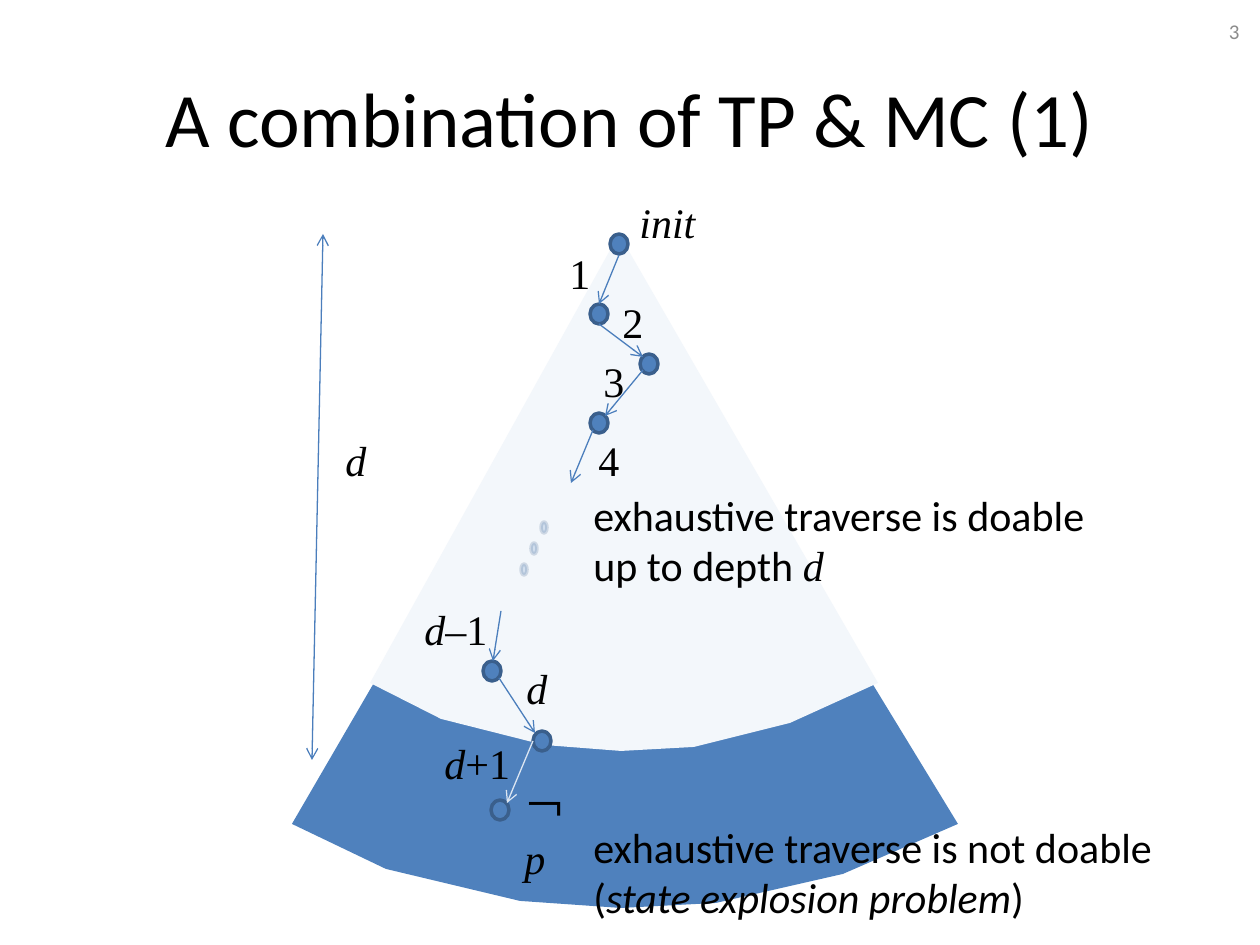
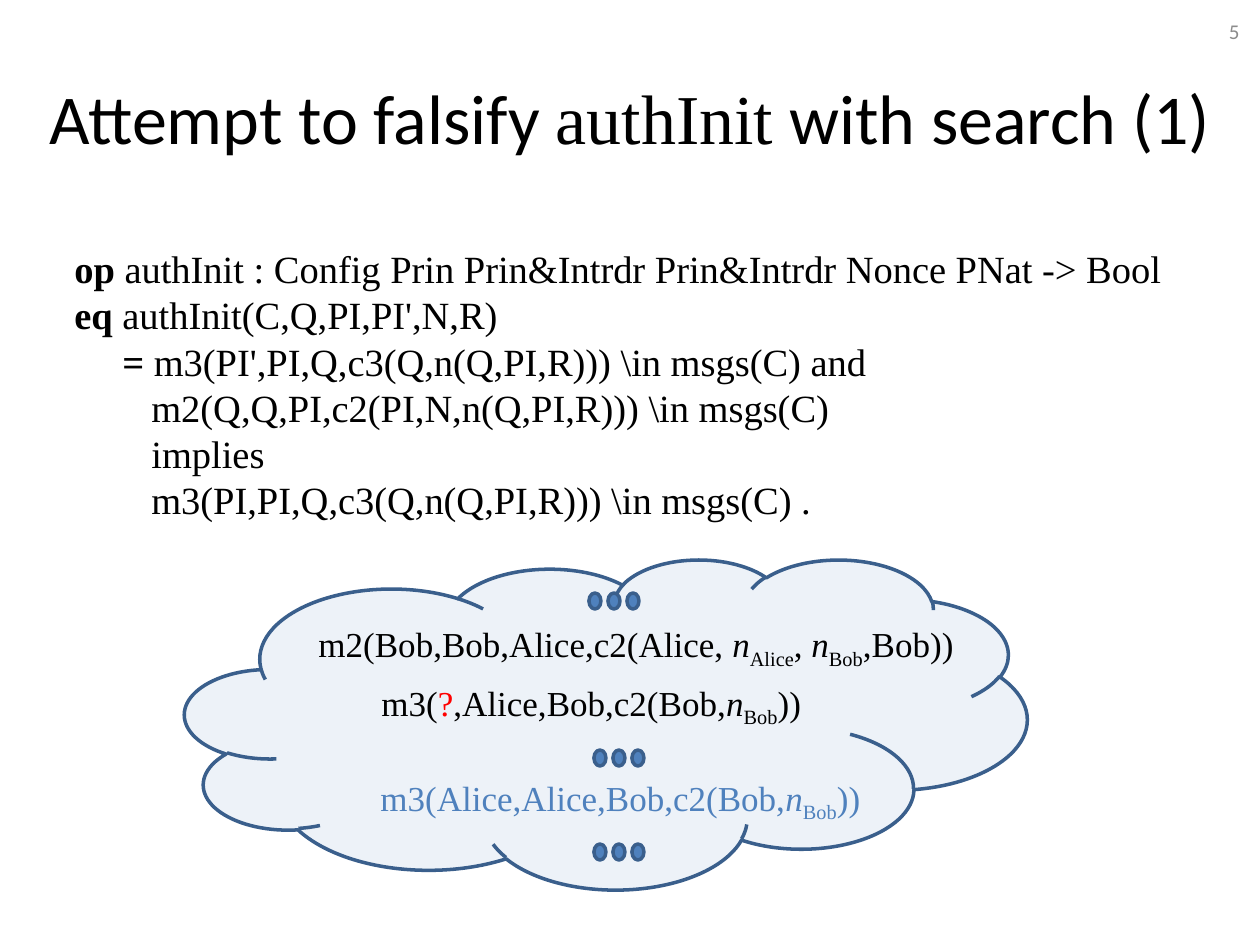
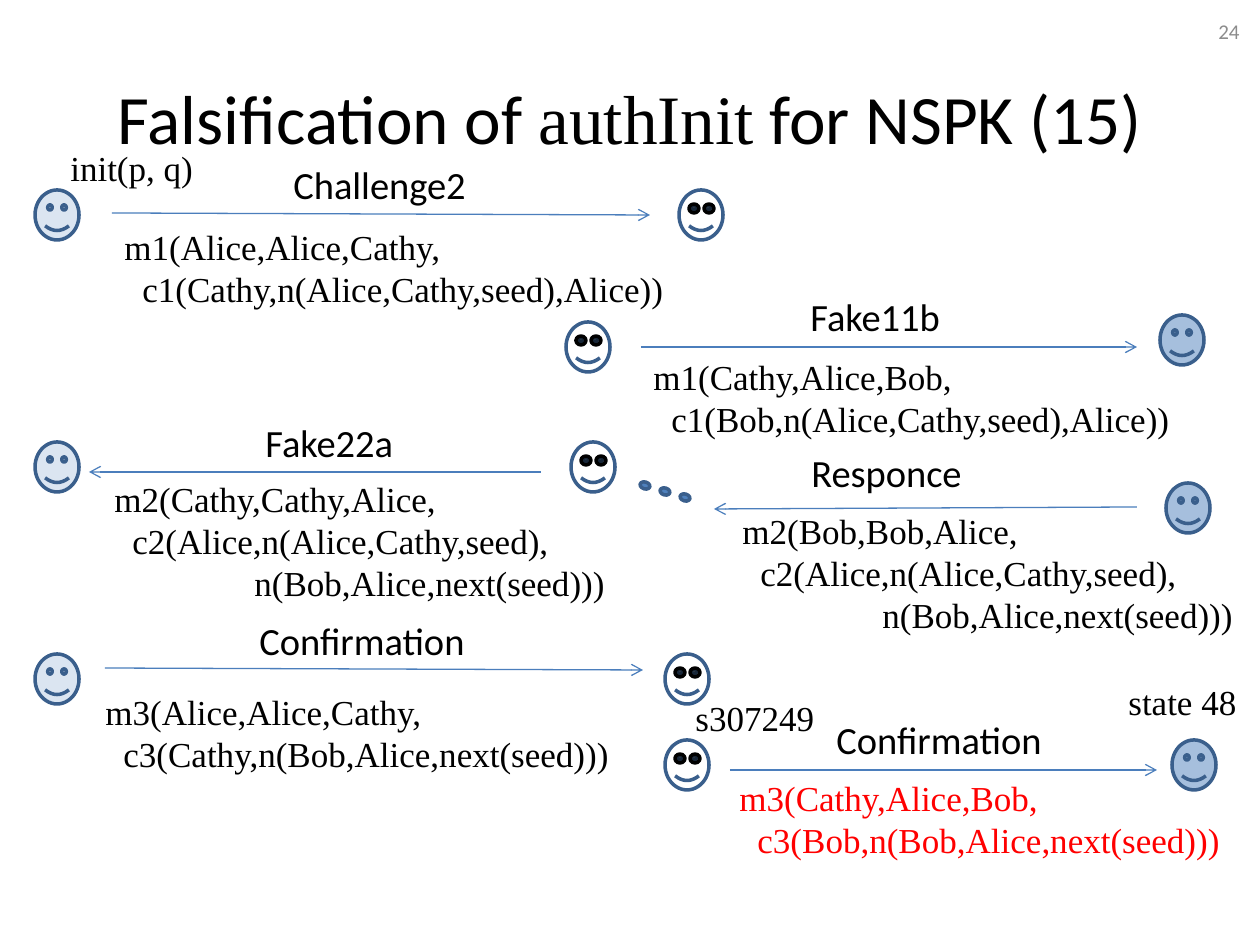
from lxml.etree import SubElement
from pptx import Presentation
from pptx.dml.color import RGBColor
from pptx.enum.shapes import MSO_CONNECTOR, MSO_SHAPE
from pptx.enum.text import MSO_ANCHOR, PP_ALIGN
from pptx.oxml.ns import qn
from pptx.util import Pt

SCALE = 914400 / 126
BLACK = RGBColor(0, 0, 0)
WHITE = RGBColor(255, 255, 255)
RED = RGBColor(255, 0, 0)
GRAY = RGBColor(0x8C, 0x8C, 0x8C)
BLUE = RGBColor(0x4F, 0x81, 0xBD)
OUTLINE = RGBColor(0x3A, 0x5F, 0x8C)
ARROW = RGBColor(0x4B, 0x7E, 0xBC)
PALE = RGBColor(0xF3, 0xF7, 0xFB)
PALE_ARROW = RGBColor(0xDC, 0xE6, 0xF2)
SANS = "Calibri"
SERIF = "Times New Roman"


def write(slide, box, paragraphs, size, font=SERIF, color=BLACK, wrap=False,
          align=PP_ALIGN.LEFT, anchor=MSO_ANCHOR.TOP, indents=()):
    text_box = slide.shapes.add_textbox(*[int(length * SCALE) for length in box])
    text_frame = text_box.text_frame
    text_frame.word_wrap = wrap
    text_frame.vertical_anchor = anchor
    for index, runs in enumerate(paragraphs):
        paragraph = text_frame.add_paragraph() if index else text_frame.paragraphs[0]
        paragraph.alignment = align
        if indents:
            paragraph._p.get_or_add_pPr().set("marL", str(int(indents[index] * SCALE)))
        if isinstance(runs, str):
            runs = [(runs, "")]
        for text, style in runs:
            run = paragraph.add_run()
            run.text = text
            run.font.size = Pt(size)
            run.font.name = SERIF if "serif" in style else font
            run.font.color.rgb = RED if "red" in style else color
            run.font.bold = "bold" in style
            run.font.italic = "italic" in style
            if "sub" in style:
                run._r.get_or_add_rPr().set("baseline", "-25000")


def draw(slide, kind, box, fill=BLUE, opacity=100, line=OUTLINE, line_opacity=100, rotation=0):
    shape = slide.shapes.add_shape(kind, *[int(length * SCALE) for length in box])
    shape.shadow.inherit = False
    shape.rotation = rotation
    shape.fill.solid()
    shape.fill.fore_color.rgb = fill
    shape.line.color.rgb = line
    shape.line.width = Pt(2)
    properties = shape._element.spPr
    outline = properties.find(qn("a:ln"))
    for parent, percent in ((properties, opacity), (outline, line_opacity)):
        if percent < 100:
            color = parent.find(qn("a:solidFill")).find(qn("a:srgbClr"))
            SubElement(color, qn("a:alpha")).set("val", str(percent * 1000))


presentation = Presentation()
presentation.slide_width = int(1260 * SCALE)
presentation.slide_height = int(945 * SCALE)

titles = [
    ("3", 44, 63, [("A combination of TP & MC (1)", "")]),
    ("5", 40, 35, [("Attempt to falsify ", ""), ("authInit", "serif"), (" with search (1)", "")]),
    ("24", 39.6, 63, [("Falsification of ", ""), ("authInit", "serif"), (" for NSPK (15)", "")]),
]
slides = []
for number, size, margin, title in titles:
    slide = presentation.slides.add_slide(presentation.slide_layouts[6])
    write(slide, (margin, 38, 1260 - 2 * margin, 158), [title], size, SANS, wrap=True,
          align=PP_ALIGN.CENTER, anchor=MSO_ANCHOR.MIDDLE)
    write(slide, (958, 6, 294, 50), [number], 12, SANS, GRAY, wrap=True,
          align=PP_ALIGN.RIGHT, anchor=MSO_ANCHOR.MIDDLE)
    slides.append(slide)
depth_slide, search_slide, attack_slide = slides

explosion_fan = [(292, 824), (617, 265), (958, 824), (843, 874), (716, 903),
                 (621, 908), (520, 901), (386, 869)]
reachable_fan = [(370, 683), (619, 234), (878, 683), (790, 723), (694, 747),
                 (621, 751), (544, 745), (441, 719)]
for points, fill in ((explosion_fan, BLUE), (reachable_fan, PALE)):
    builder = depth_slide.shapes.build_freeform(*points[0], scale=SCALE)
    builder.add_line_segments(points[1:], close=True)
    fan = builder.convert_to_shape()
    fan.shadow.inherit = False
    fan.fill.solid()
    fan.fill.fore_color.rgb = fill
    fan.line.fill.background()

for left, top in ((610, 234), (590, 304), (640, 354), (590, 413), (483, 661), (533, 731), (491, 800)):
    draw(depth_slide, MSO_SHAPE.OVAL, (left, top, 18, 20))
for step in range(3):
    draw(depth_slide, MSO_SHAPE.OVAL, (541 - 10 * step, 522 + 21 * step, 6, 11),
         opacity=20, line_opacity=20)

step_labels = [
    (333, 428, 47, [("d", "italic")]),
    (627, 190, 82, [("init", "italic")]),
    (557, 241, 53, [("1", "")]),
    (610, 290, 53, [("2", "")]),
    (591, 349, 53, [("3", "")]),
    (586, 428, 53, [("4", "")]),
    (412, 597, 110, [("d", "italic"), ("–1", "")]),
    (514, 656, 47, [("d", "italic")]),
    (432, 731, 110, [("d", "italic"), ("+1", "")]),
    (512, 776, 85, [("\uffe2", ""), ("p", "italic")]),
]
for left, top, width, label in step_labels:
    write(depth_slide, (left, top, width, 63), [label], 24, wrap=True)
write(depth_slide, (581, 483, 546, 115),
      [[("exhaustive traverse is doable up to depth ", ""), ("d", "serif italic")]], 24, SANS, wrap=True)
write(depth_slide, (581, 815, 605, 115),
      ["exhaustive traverse is not doable",
       [("(", ""), ("state explosion problem", "italic"), (")", "")]], 24, SANS, wrap=True)

definition = [
    [("op ", "bold"), ("authInit : Config Prin Prin&Intrdr Prin&Intrdr Nonce PNat -> Bool", "")],
    [("eq ", "bold"), ("authInit(C,Q,PI,PI',N,R)", "")],
    [("=", "bold"), (" m3(PI',PI,Q,c3(Q,n(Q,PI,R))) \\in msgs(C) and", "")],
    "m2(Q,Q,PI,c2(PI,N,n(Q,PI,R))) \\in msgs(C)",
    "implies",
    "m3(PI,PI,Q,c3(Q,n(Q,PI,R))) \\in msgs(C) .",
]
write(search_slide, (62, 239, 1124, 292), definition, 22, indents=(0, 0, 48, 77, 77, 77))

draw(search_slide, MSO_SHAPE.CLOUD, (185, 559, 842, 330), opacity=10)
for left, top in ((589, 593), (594, 750), (594, 844)):
    for step in range(3):
        draw(search_slide, MSO_SHAPE.OVAL, (left + 19 * step, top, 12, 16))

bob_nonce = [("n", "italic"), ("Bob", "sub")]
messages = [
    (306, 616, 677, BLACK, [("m2(Bob,Bob,Alice,c2(Alice, ", ""), ("n", "italic"), ("Alice", "sub"),
                            (", ", ""), *bob_nonce, (",Bob))", "")]),
    (369, 675, 452, BLACK, [("m3(", ""), ("?", "red"), (",Alice,Bob,c2(Bob,", ""),
                            *bob_nonce, ("))", "")]),
    (368, 770, 514, BLUE, [("m3(Alice,Alice,Bob,c2(Bob,", ""), *bob_nonce, ("))", "")]),
]
for left, top, width, color, message in messages:
    write(search_slide, (left, top, width, 55), [message], 20, color=color)

bodies = [
    (112, 219, 568, BLACK, ["m1(Alice,Alice,Cathy,", "c1(Cathy,n(Alice,Cathy,seed),Alice))"]),
    (641, 349, 544, BLACK, ["m1(Cathy,Alice,Bob,", "c1(Bob,n(Alice,Cathy,seed),Alice))"]),
    (730, 503, 528, BLACK, ["m2(Bob,Bob,Alice,", "c2(Alice,n(Alice,Cathy,seed),",
                            "n(Bob,Alice,next(seed)))"]),
    (102, 471, 528, BLACK, ["m2(Cathy,Cathy,Alice,", "c2(Alice,n(Alice,Cathy,seed),",
                            "n(Bob,Alice,next(seed)))"]),
    (93, 684, 532, BLACK, ["m3(Alice,Alice,Cathy,", "c3(Cathy,n(Bob,Alice,next(seed)))"]),
    (727, 770, 509, RED, ["m3(Cathy,Alice,Bob,", "c3(Bob,n(Bob,Alice,next(seed)))"]),
]
for left, top, width, color, lines in bodies:
    write(attack_slide, (left, top, width, 13 + 42 * len(lines)), lines, 20,
          color=color, indents=(0, 18, 140))

alice_places = [(35, 190), (35, 442), (35, 654)]
bob_places = [(1160, 315), (1166, 483), (1172, 740)]
intruder_places = [(679, 190), (566, 322), (571, 442), (665, 654), (665, 740)]
for places, fill, opacity in ((alice_places, BLUE, 20), (bob_places, BLUE, 50),
                              (intruder_places, WHITE, 100)):
    for left, top in places:
        draw(attack_slide, MSO_SHAPE.SMILEY_FACE, (left, top, 44, 50), fill, opacity)
for left, top in intruder_places:
    for offset in (10, 25):
        draw(attack_slide, MSO_SHAPE.OVAL, (left + offset, top + 14, 10, 9), BLACK, 60, BLACK)
for step in range(3):
    draw(attack_slide, MSO_SHAPE.OVAL, (640 + 20 * step, 482 + 6 * step, 10, 7), rotation=16.8)

rule_names = [
    (281, 155, 199, "Challenge2"),
    (798, 287, 156, "Fake11b"),
    (799, 443, 178, "Responce"),
    (253, 413, 155, "Fake22a"),
    (247, 611, 233, "Confirmation"),
    (824, 710, 233, "Confirmation"),
]
for left, top, width, name in rule_names:
    write(attack_slide, (left, top, width, 59), [name], 22, SANS)
for left, top, width, state in ((58, 140, 149, "init(p, q)"), (683, 690, 145, "s307249"),
                                (1116, 674, 134, "state 48")):
    write(attack_slide, (left, top, width, 55), [state], 20)

step_arrows = [
    (619, 255, 599, 304), (599, 324, 643, 357), (643, 370, 605, 416), (593, 430, 571, 483),
    (501, 611, 493, 661), (499, 678, 535, 733),
]
message_arrows = [
    (112, 213, 650, 215), (641, 347, 1137, 347), (1137, 507, 714, 509),
    (541, 472, 89, 472), (105, 668, 643, 670), (730, 770, 1157, 770),
]
arrow_groups = [
    (depth_slide, [(323, 234, 312, 760)], ARROW, ("a:headEnd", "a:tailEnd")),
    (depth_slide, step_arrows, ARROW, ("a:tailEnd",)),
    (depth_slide, [(533, 741, 507, 803)], PALE_ARROW, ("a:tailEnd",)),
    (attack_slide, message_arrows, ARROW, ("a:tailEnd",)),
]
for slide, arrows, color, ends in arrow_groups:
    for arrow in arrows:
        connector = slide.shapes.add_connector(
            MSO_CONNECTOR.STRAIGHT, *[int(length * SCALE) for length in arrow])
        connector.line.color.rgb = color
        connector.line.width = Pt(0.75)
        properties = connector._element.spPr
        for end in ends:
            SubElement(properties.find(qn("a:ln")), qn(end)).set("type", "arrow")
        SubElement(properties, qn("a:effectLst"))

presentation.save("out.pptx")
